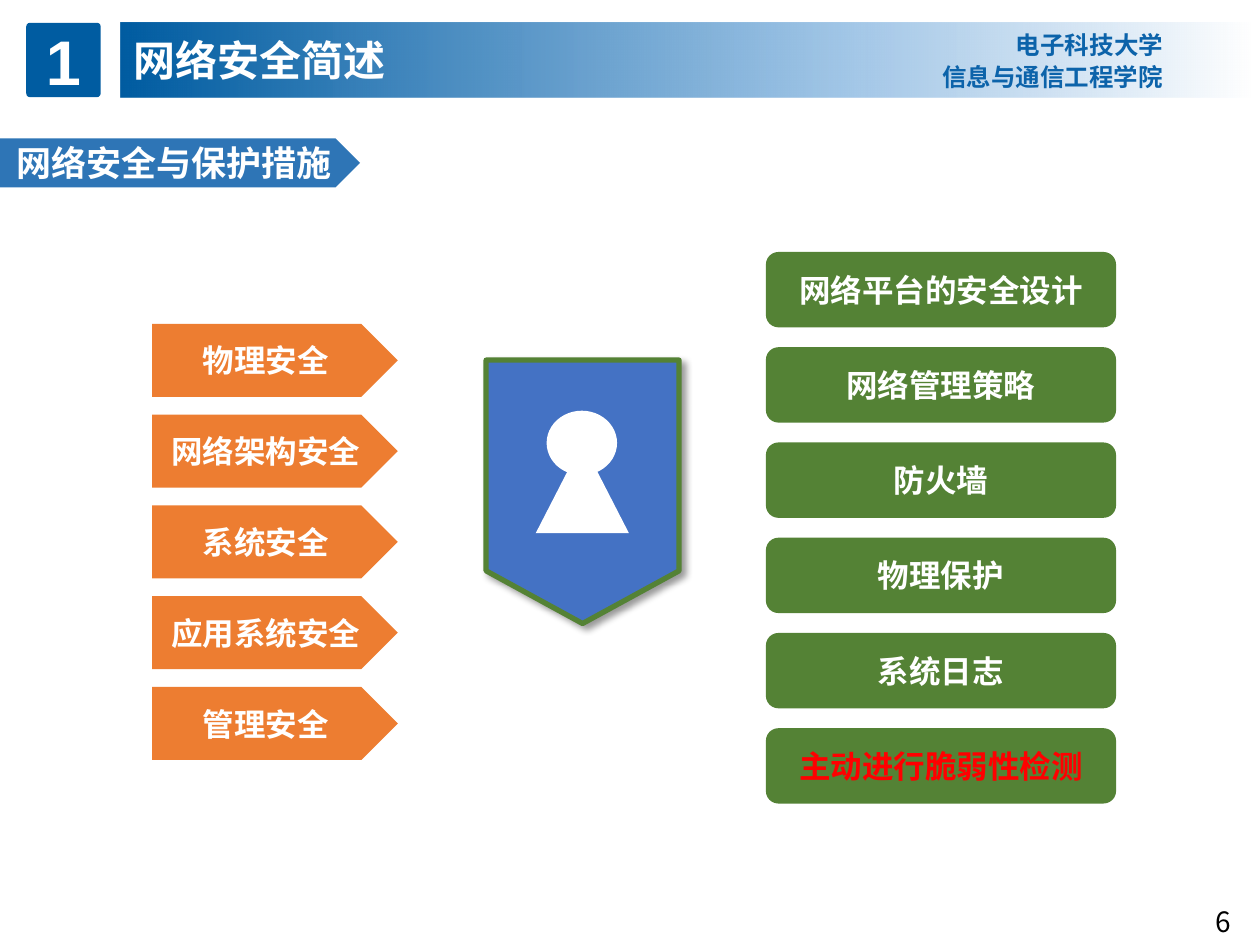
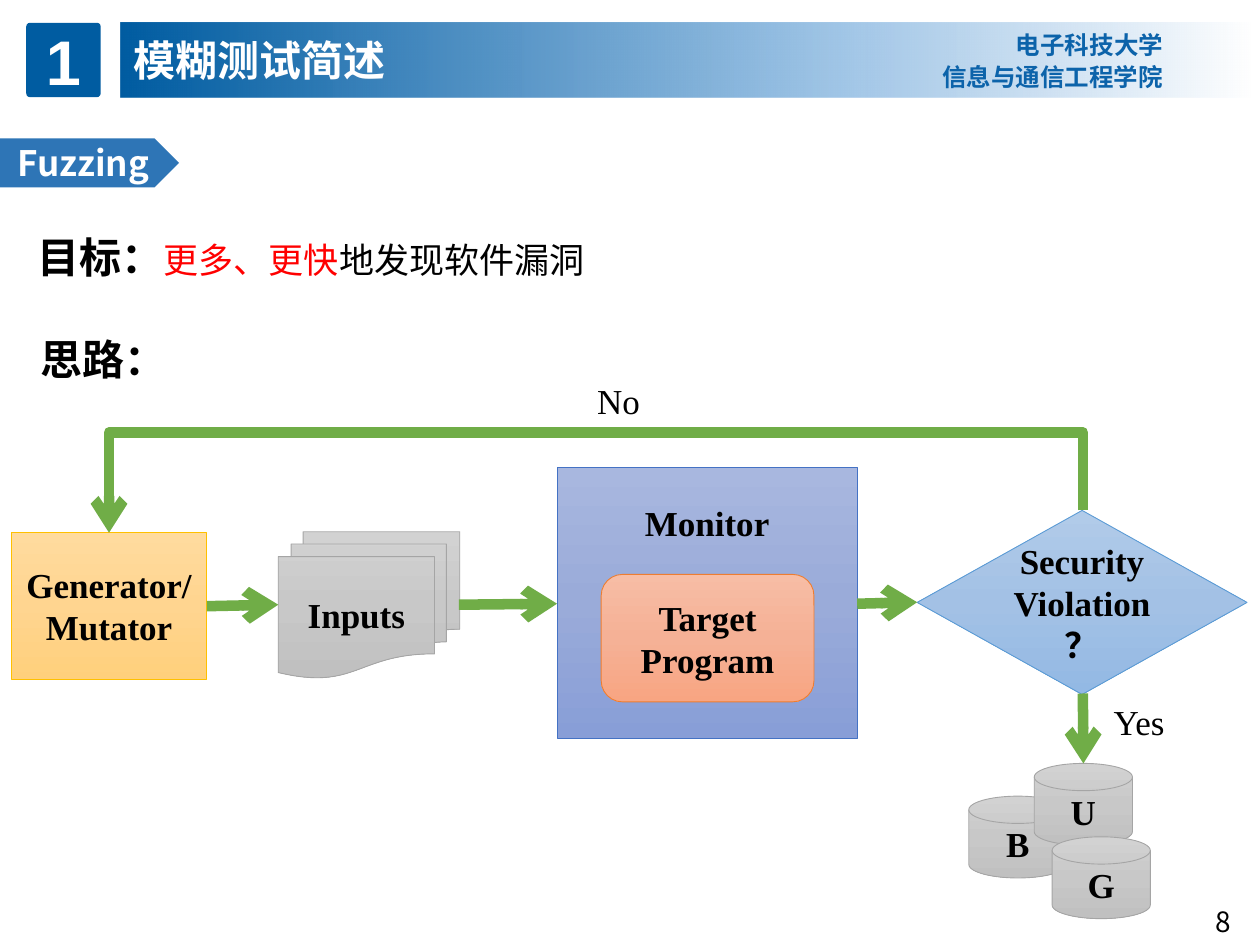
from lxml.etree import SubElement
from pptx import Presentation
from pptx.dml.color import RGBColor
from pptx.enum.shapes import MSO_CONNECTOR as Link, MSO_SHAPE as Form
from pptx.enum.text import MSO_ANCHOR as Anchor, PP_ALIGN as Align
from pptx.oxml.ns import qn
from pptx.util import Cm, Pt

SANS, SERIF = "Noto Sans CJK SC", "Times New Roman"
WHITE, BLACK, RED = "FFFFFF", "000000", "FF0000"
NAVY, BANNER, ORANGE, GREEN = "005CA1", "2E75B6", "ED7D31", "548235"
ARROW = "70AD47"

# Gradient stops: position in percent, colour, opacity in percent
BAND = [(0, NAVY, 100), (64, "9CC3E6", 94), (100, WHITE, 100)]


def color(value):
    return RGBColor.from_string(value)


def soft(top, middle, bottom):
    return [(0, top, 100), (50, middle, 100), (100, bottom, 100)]


# Node styles: gradient and outline
GOLD = soft("FFDB9E", "FFD590", "FFD07C"), "FFC000"
GRAY = soft("D2D2D2", "C8C8C8", "C0C0C0"), "A5A5A5"
INDIGO = soft("A8B7DF", "9AABD9", "889ED7"), "4472C4"
SKY = soft("B1CBE9", "A3C1E5", "93B9E4"), "5B9BD5"
PEACH = soft("F7BDA5", "F5B196", "F8A582"), ORANGE


class Deck:
    def __init__(self):
        self.presentation = Presentation()
        self.presentation.slide_width = Cm(25.4)
        self.presentation.slide_height = Cm(19.05)
        self.slide = None

    def start_slide(self, title, banner, banner_width, number):
        """Add a slide with its header band, banner and page number."""
        self.slide = self.presentation.slides.add_slide(self.presentation.slide_layouts[6])
        self.label(str(number), 23.93, 18.11, 1.47, 0.94, 16, font=SANS, align=Align.CENTER)
        band = self.shape(Form.RECTANGLE, 2.44, 0.46, 22.76, 1.5)
        self.gradient(band, BAND, 0)
        self.put_text(band, title, 24, align=Align.LEFT)
        school = self.label("电子科技大学\n信息与通信工程学院", 18.67, 0.43, 5.03, 1.52, 14,
                            "0C63AA", True, "Karla", Align.RIGHT)
        school.text_frame.vertical_anchor = Anchor.MIDDLE
        for paragraph in school.text_frame.paragraphs:
            paragraph.line_spacing = 1.1
        badge = self.shape(Form.ROUNDED_RECTANGLE, 0.53, 0.46, 1.5, 1.5, NAVY)
        badge.adjustments[0] = 0.05
        self.put_text(badge, "1", 36, font="Arial")
        self.put_text(self.shape(Form.PENTAGON, 0, 2.79, banner_width, 0.99, BANNER), banner, 20)

    # Text
    def style_run(self, run, size, ink, bold, font):
        run.font.size, run.font.bold, run.font.name = Pt(size), bold, font
        run.font.color.rgb = color(ink)
        SubElement(run._r.get_or_add_rPr(), qn("a:ea")).set("typeface", SANS)

    def put_text(self, shape, text, size, ink=WHITE, bold=True, font=SANS, align=Align.CENTER):
        shape.text_frame.word_wrap = True
        shape.text_frame.text = text
        for paragraph in shape.text_frame.paragraphs:
            paragraph.alignment = align
            for run in paragraph.runs:
                self.style_run(run, size, ink, bold, font)

    def label(self, text, left, top, width, height, size, ink=BLACK, bold=False,
              font=SERIF, align=Align.LEFT):
        box = self.slide.shapes.add_textbox(Cm(left), Cm(top), Cm(width), Cm(height))
        self.put_text(box, text, size, ink, bold, font, align)
        return box

    # Shapes
    def shape(self, form, left, top, width, height, fill=None):
        shape = self.slide.shapes.add_shape(form, Cm(left), Cm(top), Cm(width), Cm(height))
        shape.shadow.inherit = False
        shape.line.fill.background()
        if fill:
            shape.fill.solid()
            shape.fill.fore_color.rgb = color(fill)
        return shape

    def outline(self, shape, ink, width):
        shape.line.color.rgb = color(ink)
        shape.line.width = Pt(width)

    def gradient(self, shape, stops, angle):
        shape.fill.gradient()
        shape.fill.gradient_angle = angle
        stop_list = shape._element.spPr.find(".//" + qn("a:gsLst"))
        for stop in list(stop_list):
            stop_list.remove(stop)
        for position, ink, opacity in stops:
            stop = SubElement(stop_list, qn("a:gs"), pos=str(position * 1000))
            tone = SubElement(stop, qn("a:srgbClr"), val=ink)
            if opacity < 100:
                SubElement(tone, qn("a:alpha"), val=str(opacity * 1000))

    def drop_shadow(self, shape):
        effects = shape._element.spPr.find(qn("a:effectLst"))
        shadow = SubElement(effects, qn("a:outerShdw"), blurRad=str(int(Pt(4))),
                            dist=str(int(Pt(3))), dir=str(45 * 60000), algn="tl",
                            rotWithShape="0")
        tone = SubElement(shadow, qn("a:srgbClr"), val=BLACK)
        SubElement(tone, qn("a:alpha"), val="40000")

    def node(self, form, text, left, top, width, height, style):
        stops, edge = style
        shape = self.shape(form, left, top, width, height)
        self.gradient(shape, stops, 270)
        self.outline(shape, edge, 0.5)
        self.put_text(shape, text, 20, BLACK, font=SERIF)
        return shape

    # Arrows
    def arrow(self, start_x, start_y, end_x, end_y, kind=Link.STRAIGHT):
        connector = self.slide.shapes.add_connector(
            kind, Cm(start_x), Cm(start_y), Cm(end_x), Cm(end_y))
        self.outline(connector, ARROW, 6)
        properties = connector._element.spPr
        SubElement(properties.find(qn("a:ln")), qn("a:tailEnd"), type="arrow")
        SubElement(properties, qn("a:effectLst"))
        return connector

    def loop_arrow(self, start_x, start_y, end_x, end_y, bend):
        """Elbow turned by 270 degrees, so its frame is wide where the route is high."""
        middle_x, middle_y = (start_x + end_x) / 2, (start_y + end_y) / 2
        half_width, half_height = (end_y - start_y) / 2, (start_x - end_x) / 2
        connector = self.arrow(middle_x + half_width, middle_y + half_height,
                               middle_x - half_width, middle_y - half_height, Link.ELBOW)
        properties = connector._element.spPr
        properties.find(qn("a:xfrm")).set("rot", str(270 * 60000))
        guides = properties.find(".//" + qn("a:avLst"))
        SubElement(guides, qn("a:gd"), name="adj1", fmla=f"val {round(bend * 100000)}")


def security_slide(deck):
    deck.start_slide("网络安全简述", "网络安全与保护措施", 7.26, 6)

    # Security areas
    areas = ["物理安全", "网络架构安全", "系统安全", "应用系统安全", "管理安全"]
    for row, area in enumerate(areas):
        tag = deck.shape(Form.PENTAGON, 3.07, 6.53 + 1.83 * row, 4.95, 1.47, ORANGE)
        deck.put_text(tag, area, 18)

    # Protective measures, the last one highlighted
    measures = ["网络平台的安全设计", "网络管理策略", "防火墙", "物理保护", "系统日志",
                "主动进行脆弱性检测"]
    for row, measure in enumerate(measures):
        box = deck.shape(Form.ROUNDED_RECTANGLE, 15.44, 5.08 + 1.92 * row, 7.06, 1.52, GREEN)
        deck.put_text(box, measure, 18, RED if measure == measures[-1] else WHITE)

    # Shield with keyhole
    shield = deck.shape(Form.FLOWCHART_OFFPAGE_CONNECTOR, 9.8, 7.26, 3.89, 5.31, "4472C4")
    deck.outline(shield, GREEN, 3)
    deck.drop_shadow(shield)
    deck.shape(Form.FLOWCHART_CONNECTOR, 11.02, 8.28, 1.42, 1.3, WHITE)
    deck.shape(Form.FLOWCHART_EXTRACT, 10.8, 8.92, 1.88, 1.83, WHITE)


def fuzzing_slide(deck):
    deck.start_slide("模糊测试简述", "Fuzzing", 3.61, 8)

    # Goal and approach
    goal = deck.label("目标：", 0.51, 4.55, 24.31, 1.27, 24, bold=True)
    for text, ink in [("更多、更快", RED), ("地发现软件漏洞", BLACK)]:
        run = goal.text_frame.paragraphs[0].add_run()
        run.text = text
        deck.style_run(run, 20, ink, False, SANS)
    deck.label("思路：", 0.56, 6.6, 24.31, 1.27, 24, bold=True)

    # Flow nodes
    deck.node(Form.RECTANGLE, "Generator/\nMutator", 0.23, 10.74, 3.94, 2.95, GOLD)
    deck.node(Form.FLOWCHART_MULTIDOCUMENT, "Inputs", 5.61, 10.72, 3.66, 2.95, GRAY)
    monitor = deck.node(Form.RECTANGLE, "Monitor", 11.23, 9.42, 6.05, 5.46, INDIGO)
    monitor.text_frame.vertical_anchor = Anchor.TOP
    monitor.text_frame.margin_top = Cm(0.69)
    deck.node(Form.ROUNDED_RECTANGLE, "Target\nProgram", 12.12, 11.58, 4.29, 2.57, PEACH)
    deck.node(Form.FLOWCHART_DECISION, "Security\nViolation？", 18.49, 10.29, 6.65, 3.71, SKY)
    for name, left, top in [("B", 19.53, 16.05), ("U", 20.85, 15.39), ("G", 21.21, 16.87)]:
        deck.node(Form.FLOWCHART_MAGNETIC_DISK, name, left, top, 1.98, 1.65, GRAY)

    # Flow arrows
    deck.arrow(4.17, 12.22, 5.61, 12.19)
    deck.arrow(9.25, 12.19, 11.23, 12.17)
    deck.arrow(17.28, 12.17, 18.49, 12.14)
    deck.arrow(21.83, 13.98, 21.84, 15.39)
    deck.loop_arrow(21.83, 10.29, 2.2, 10.74, -3.5)
    deck.label("Yes", 22.2, 14, 2.03, 1.12, 20)
    deck.label("No", 11.79, 7.52, 2.03, 1.12, 20)


def main():
    deck = Deck()
    security_slide(deck)
    fuzzing_slide(deck)
    deck.presentation.save("out.pptx")


if __name__ == "__main__":
    main()
